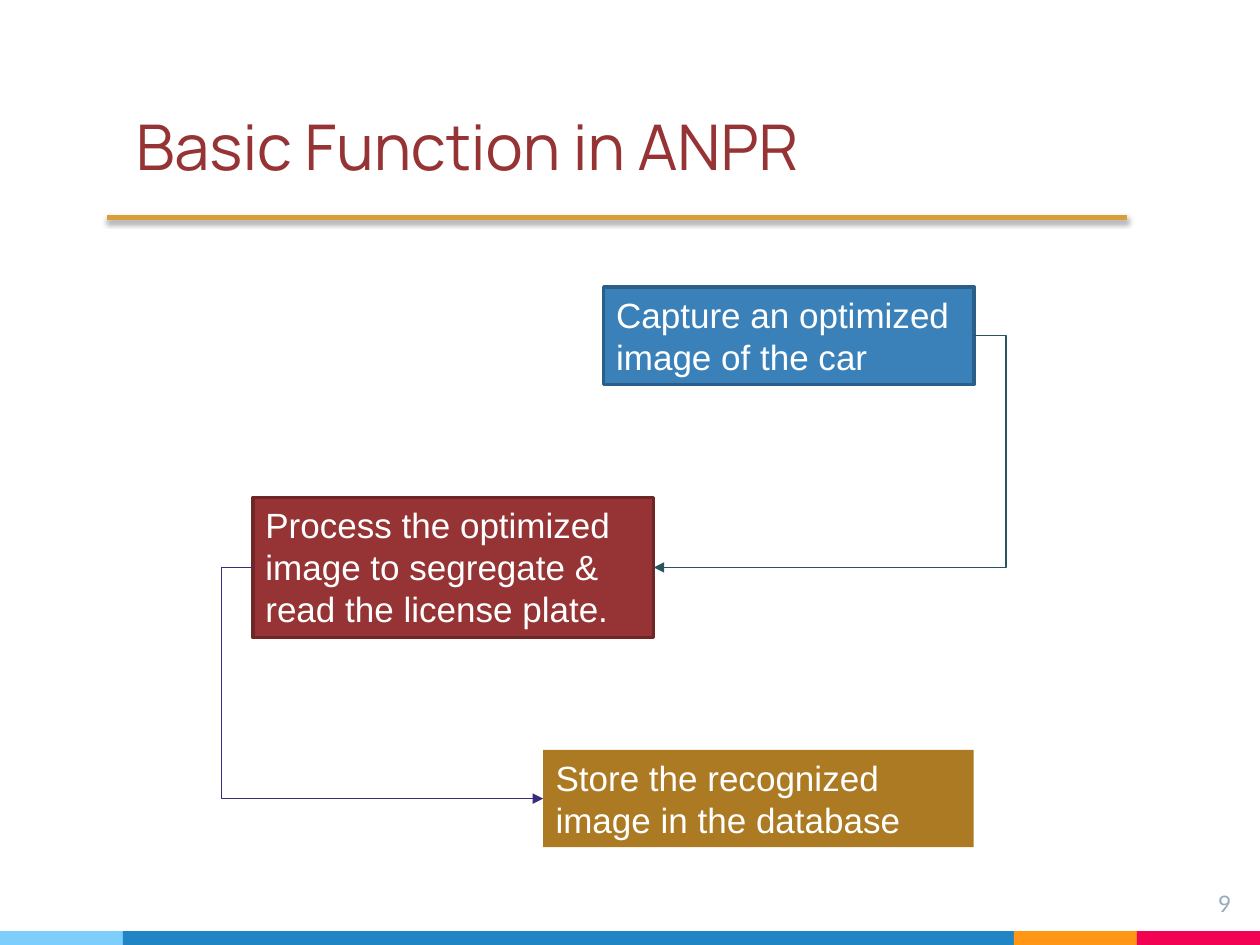
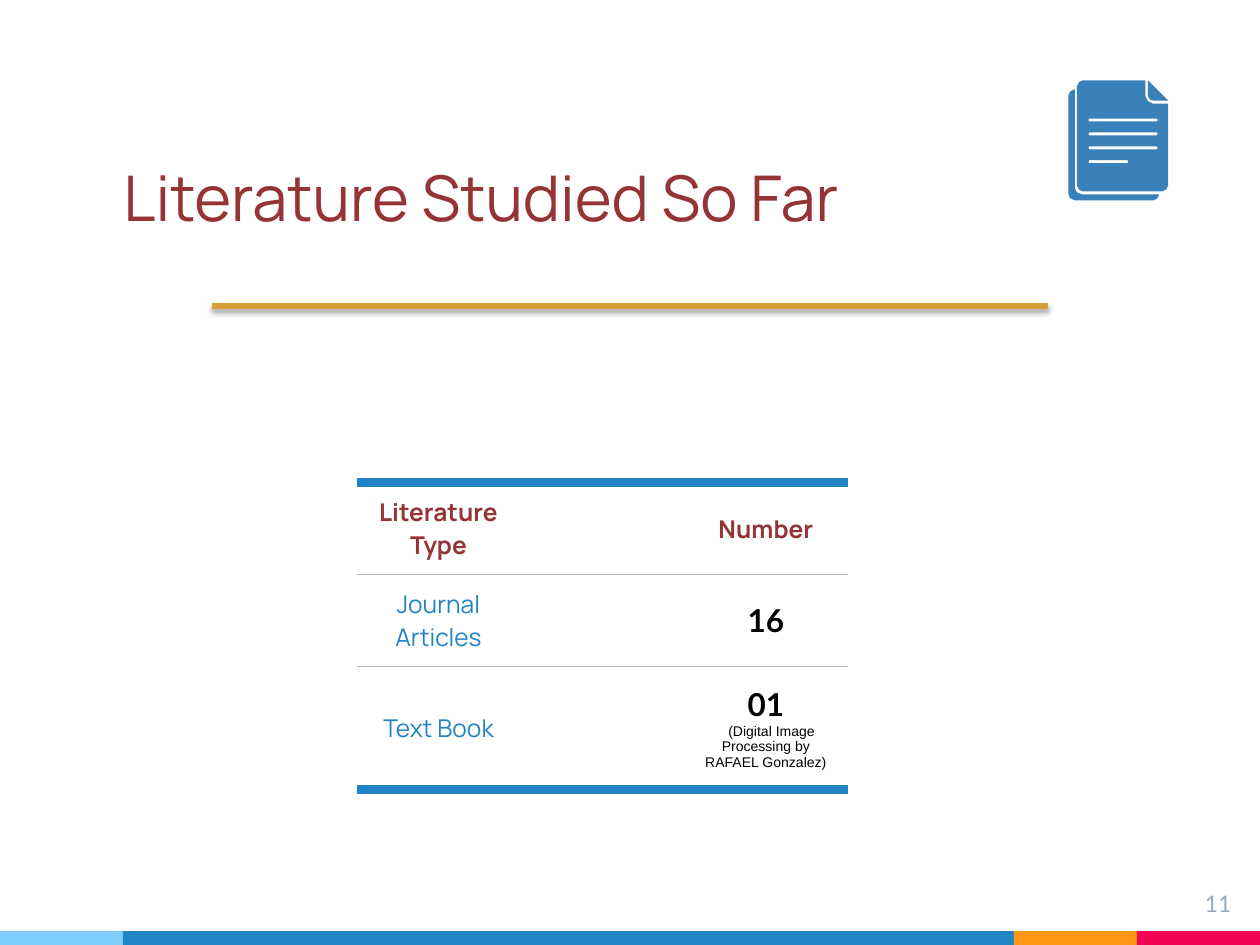
from pptx import Presentation
from pptx.dml.color import RGBColor
from pptx.enum.shapes import MSO_CONNECTOR as LINE, MSO_SHAPE as SHAPE
from pptx.enum.text import MSO_ANCHOR as ANCHOR, PP_ALIGN as ALIGN
from pptx.oxml import parse_xml
from pptx.oxml.ns import nsdecls, qn
from pptx.util import Cm, Pt

COLORS = {
    "sky": "7ECEFD", "blue": "2185C5", "orange": "FF9715", "pink": "F20253",
    "maroon": "963334", "dark maroon": "6F2626", "steel": "3A81BA",
    "dark steel": "2B5F8A", "bronze": "AB7A22", "gold": "D89F39",
    "teal": "29555D", "violet": "372D7D", "grey": "97ABBC",
    "divider": "B7B7B7", "white": "FFFFFF", "black": "000000",
}
RGB = {name: RGBColor.from_string(value) for name, value in COLORS.items()}
NO_STYLE_TABLE = "{2D5ABB26-0587-4C30-8999-92F81FD0307C}"
INSET = Cm(0.25)


def write(para, text, size, font, color, bold=False, align=ALIGN.LEFT):
    """Add one styled run to a paragraph."""
    para.alignment = align
    span = para.add_run()
    span.text = text
    span.font.size = Pt(size)
    span.font.name = font
    span.font.bold = bold
    span.font.color.rgb = RGB[color]


def add_filled(shapes, outlines, color):
    """Draw closed outlines, given in cm, as one shape; inner ones are holes."""
    builder = None
    for outline in outlines:
        points = [(Cm(x), Cm(y)) for x, y in outline]
        if builder is None:
            builder = shapes.build_freeform(*points[0])
        else:
            builder.move_to(*points[0])
        builder.add_line_segments(points[1:], close=True)
    shape = builder.convert_to_shape()
    shape.shadow.inherit = False
    shape.fill.solid()
    shape.fill.fore_color.rgb = RGB[color]
    shape.line.fill.background()


deck = Presentation()
deck.slide_width, deck.slide_height = Cm(25.4), Cm(19.05)

# Shared frame: footer bands, title, page number, rule
bands = [("sky", 2.48), ("blue", 17.96), ("orange", 2.48), ("pink", 2.48)]
frames = [
    # title, title left and top, page number, rule left, right and height
    ("Basic Function in ANPR", 2.49, 0.76, "9", 2.16, 22.71, 4.39),
    ("Literature Studied So Far", 2.24, 1.8, "11", 4.27, 21.13, 6.17),
]
pages = []
for title, title_left, title_top, number, rule_left, rule_right, rule_y in frames:
    page = deck.slides.add_slide(deck.slide_layouts[6])
    pages.append(page)

    band_left = 0
    for color, width in bands:
        band = page.shapes.add_shape(
            SHAPE.RECTANGLE, Cm(band_left), Cm(18.77), Cm(width), Cm(0.28))
        band.shadow.inherit = False
        band.fill.solid()
        band.fill.fore_color.rgb = RGB[color]
        band.line.fill.background()
        band_left += width

    title_box = page.shapes.add_textbox(
        Cm(title_left), Cm(title_top), Cm(17.96), Cm(3.18))
    number_box = page.shapes.add_textbox(
        Cm(23.55), Cm(17.68), Cm(1.52), Cm(1.17))
    for box in (title_box, number_box):
        frame = box.text_frame
        frame.word_wrap = True
        frame.margin_left = frame.margin_right = INSET
        frame.margin_top = frame.margin_bottom = INSET
    title_box.text_frame.vertical_anchor = ANCHOR.BOTTOM
    write(title_box.text_frame.paragraphs[0], title, 36, "Manrope", "maroon")
    write(number_box.text_frame.paragraphs[0], number, 13, "Lato", "grey",
          align=ALIGN.RIGHT)

    rule = page.shapes.add_connector(
        LINE.STRAIGHT, Cm(rule_left), Cm(rule_y), Cm(rule_right), Cm(rule_y))
    rule.line.color.rgb = RGB["gold"]
    rule.line.width = Pt(3)
    rule.element.spPr.append(parse_xml(
        f'<a:effectLst {nsdecls("a")}>'
        f'<a:outerShdw blurRad="{Pt(3.1)}" dist="{Pt(1.8)}" dir="5400000" rotWithShape="0">'
        f'<a:srgbClr val="{COLORS["black"]}"><a:alpha val="35000"/></a:srgbClr>'
        '</a:outerShdw></a:effectLst>'))

flow_page, literature_page = pages

# Flow of the three steps
steps = [
    ("Capture an optimized image of the car",
     12.17, 5.79, 7.47, 1.96, "steel", "dark steel"),
    ("Process the optimized image to segregate & read the license plate.",
     5.1, 10.03, 8.08, 2.82, "maroon", "dark maroon"),
    ("Store the recognized image in the database",
     10.95, 15.12, 8.68, 1.96, "bronze", None),
]
step_boxes = []
for text, left, top, width, height, fill, edge in steps:
    box = flow_page.shapes.add_shape(
        SHAPE.RECTANGLE, Cm(left), Cm(top), Cm(width), Cm(height))
    box.shadow.inherit = False
    box.fill.solid()
    box.fill.fore_color.rgb = RGB[fill]
    if edge:
        box.line.color.rgb = RGB[edge]
        box.line.width = Pt(2)
    else:
        box.line.fill.background()
    box.text_frame.word_wrap = True
    box.text_frame.vertical_anchor = ANCHOR.TOP
    write(box.text_frame.paragraphs[0], text, 20, "Arial", "white")
    step_boxes.append(box)

# Each arrow leaves and enters on the named side: 1 is left, 3 is right
capture, process, store = step_boxes
OVERHANG = Cm(0.64)
for source, source_side, target, target_side, color in [
        (capture, 3, process, 3, "teal"), (process, 1, store, 1, "violet")]:
    ends = []
    for box, side in ((source, source_side), (target, target_side)):
        ends += [box.left + (box.width if side == 3 else 0),
                 box.top + box.height // 2]
    arrow = flow_page.shapes.add_connector(LINE.ELBOW, *ends)
    arrow.begin_connect(source, source_side)
    arrow.end_connect(target, target_side)
    arrow.line.color.rgb = RGB[color]
    arrow.line.width = Pt(0.75)
    arrow.line._get_or_add_ln().append(
        parse_xml(f'<a:tailEnd {nsdecls("a")} type="triangle"/>'))
    properties = arrow.element.spPr
    properties.append(parse_xml(f'<a:effectLst {nsdecls("a")}/>'))
    bend = round(-100000 * OVERHANG / arrow.width)
    properties.find(qn("a:prstGeom")).get_or_add_avLst().append(
        parse_xml(f'<a:gd {nsdecls("a")} name="adj1" fmla="val {bend}"/>'))

# Literature table, with an empty middle column
HEAD = (14, "Manrope", "maroon", True)
LABEL = (14, "Manrope", "blue", False)
COUNT = (18, "Lato", "black", True)
NOTE = (8, "Arial", "black", False)
rows = [
    (1.85, [("Literature Type", HEAD)], [("Number", HEAD)]),
    (1.85, [("Journal Articles", LABEL)], [("16", COUNT)]),
    (2.49, [("Text Book", LABEL)],
     [("01", COUNT), ("(Digital Image Processing by RAFAEL Gonzalez)", NOTE)]),
]
table = literature_page.shapes.add_table(
    3, 3, Cm(7.19), Cm(9.73), Cm(9.9), Cm(6.19)).table
table.first_row = table.horz_banding = False
table._tbl.tblPr.find(qn("a:tableStyleId")).text = NO_STYLE_TABLE
for column in table.columns:
    column.width = Cm(3.3)
thick, thin = ("blue", 6), ("divider", 0.75)
edges = [thick, thin, thin, thick]
for index, (height, label, count) in enumerate(rows):
    table.rows[index].height = Cm(height)
    for cell, lines in zip(table.rows[index].cells, (label, [], count)):
        cell.fill.background()
        cell.vertical_anchor = ANCHOR.MIDDLE
        cell.margin_left = cell.margin_right = INSET
        cell.margin_top = cell.margin_bottom = INSET
        for position, (text, style) in enumerate(lines):
            frame = cell.text_frame
            para = frame.add_paragraph() if position else frame.paragraphs[0]
            write(para, text, *style, align=ALIGN.CENTER)
            if style is NOTE:
                para._p.get_or_add_pPr().set("indent", str(Cm(0.23)))
        for tag, (color, width) in (("lnB", edges[index + 1]), ("lnT", edges[index])):
            cell._tc.get_or_add_tcPr().insert(0, parse_xml(
                f'<a:{tag} {nsdecls("a")} w="{Pt(width)}"><a:solidFill>'
                f'<a:srgbClr val="{COLORS[color]}"/></a:solidFill></a:{tag}>'))

# Document icon: back sheet, front sheet with text lines cut out, folded corner
back_sheet = [
    (21.67, 1.8), (21.58, 1.84), (21.54, 1.92), (21.54, 3.92), (21.58, 4),
    (21.67, 4.04), (23.25, 4.04), (23.33, 4), (23.37, 3.92), (21.82, 3.92),
    (21.71, 3.88), (21.67, 3.8), (21.67, 1.8)]
front_sheet = [
    (21.83, 1.62), (21.75, 1.66), (21.71, 1.74), (21.71, 3.74), (21.75, 3.82),
    (21.83, 3.86), (23.43, 3.86), (23.51, 3.82), (23.55, 3.74), (23.55, 2.09),
    (23.24, 2.09), (23.14, 2.04), (23.09, 1.94), (23.09, 1.62)]
fold = [(23.14, 1.62), (23.14, 1.92), (23.17, 2), (23.25, 2.03), (23.55, 2.03)]
text_lines = []
for index, right in enumerate([23.34, 23.34, 23.34, 22.75]):
    left, top = 21.94, 2.39 + 0.28 * index
    bottom = top + 0.06
    middle = top + 0.03
    text_lines.append([
        (left + 0.02, top), (right - 0.02, top), (right, middle),
        (right - 0.02, bottom), (left + 0.02, bottom), (left, middle)])
for outlines in ([back_sheet], [front_sheet, *text_lines], [fold]):
    add_filled(literature_page.shapes, outlines, "steel")

deck.save("out.pptx")
